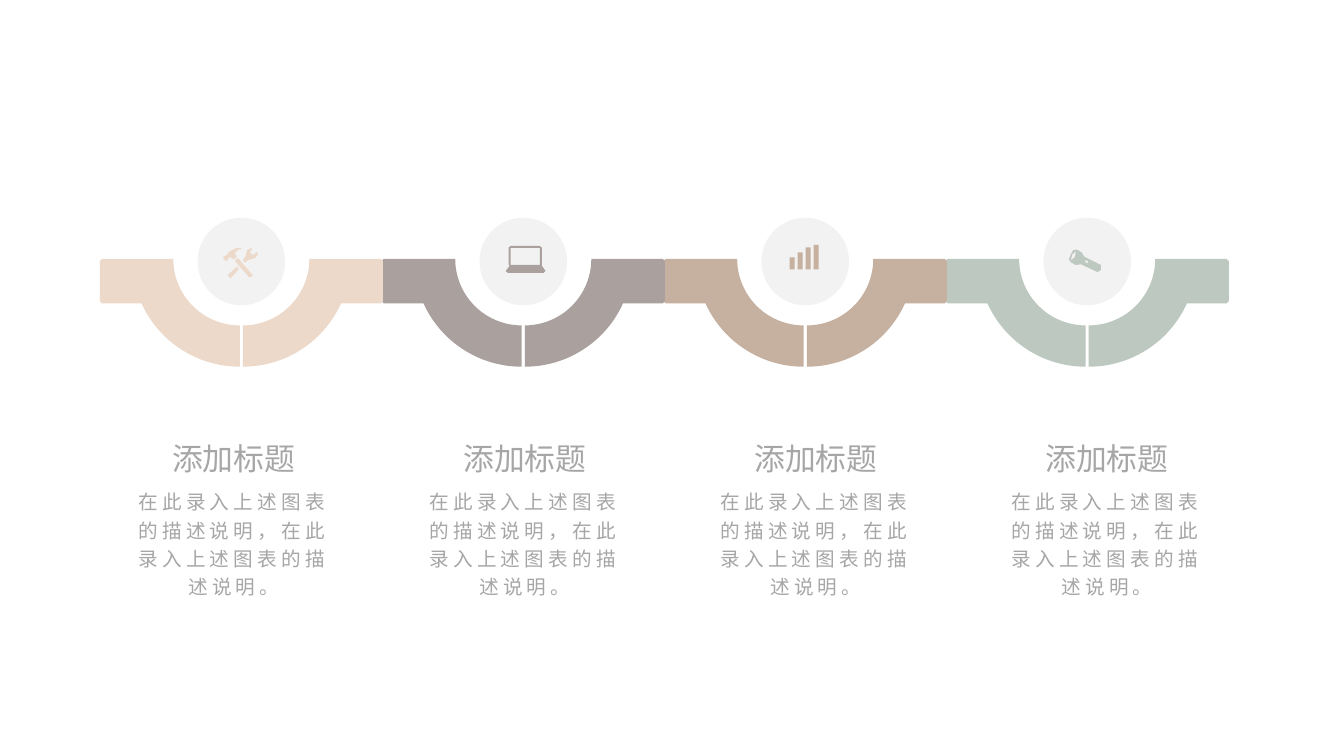
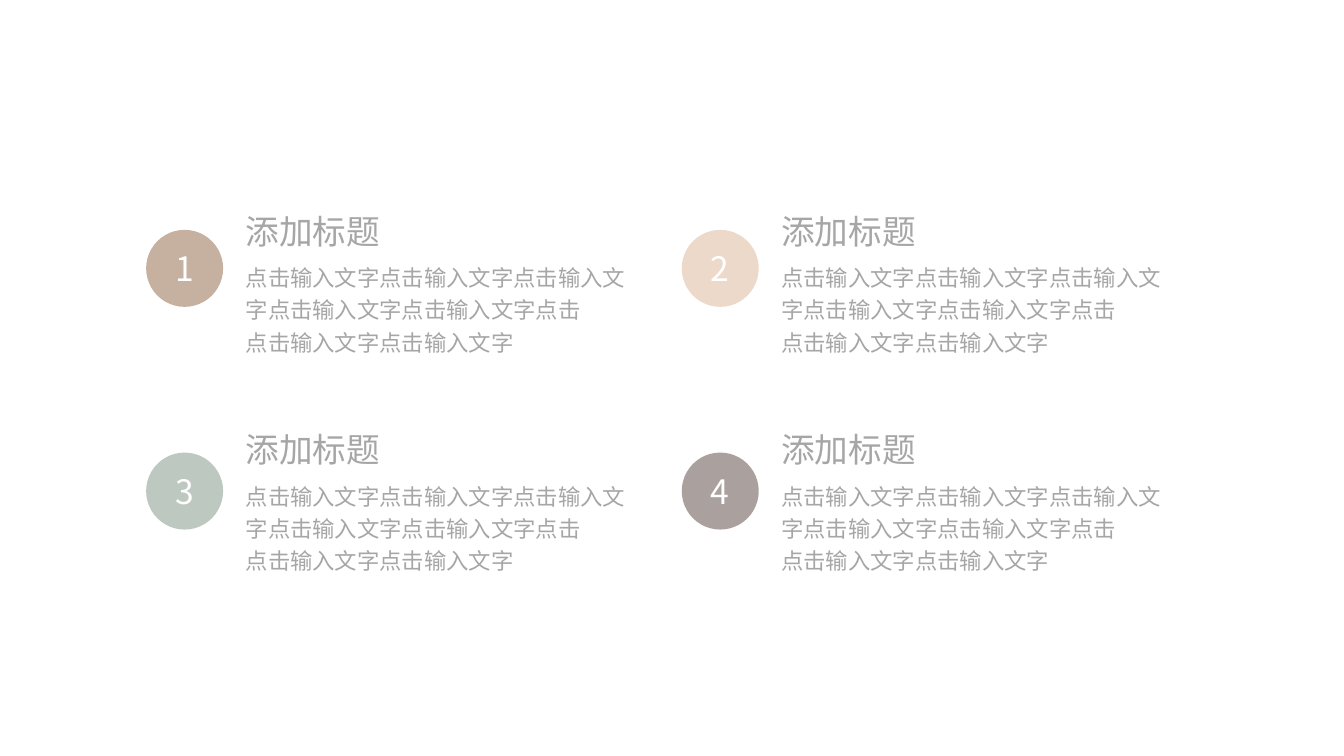
import dataclasses
import math

import pptx
import pptx.dml.color
import pptx.enum.shapes
import pptx.enum.text
import pptx.oxml
import pptx.oxml.ns
import pptx.util

Pt = pptx.util.Pt
OVAL = pptx.enum.shapes.MSO_SHAPE.OVAL
RECT = pptx.enum.shapes.MSO_SHAPE.RECTANGLE
LEFT = pptx.enum.text.PP_ALIGN.LEFT
CENTER = pptx.enum.text.PP_ALIGN.CENTER
MIDDLE = pptx.enum.text.MSO_ANCHOR.MIDDLE
GROW = pptx.enum.text.MSO_AUTO_SIZE.SHAPE_TO_FIT_TEXT


@dataclasses.dataclass(frozen=True)
class Theme:
    face: str = "Noto Sans CJK SC"
    sand: str = "ECD9CA"
    mauve: str = "AAA09E"
    tan: str = "C6B0A0"
    sage: str = "BDC8C0"
    disc: str = "F2F2F2"
    ink: str = "A6A6A6"
    white: str = "FFFFFF"
    small: int = 14
    body: int = 16
    head: int = 22
    large: int = 24


theme = Theme()


def paint(shape, color):
    """Give a shape a flat fill with neither line nor shadow."""
    shape.shadow.inherit = False
    shape.fill.solid()
    shape.fill.fore_color.rgb = pptx.dml.color.RGBColor.from_string(color)
    shape.line.fill.background()


def write(shape, lines, size, color=theme.ink, track=0, **form):
    """Fill a text frame; form holds paragraph values."""
    frame = shape.text_frame
    frame.word_wrap = True
    for index, line in enumerate(lines):
        para = frame.add_paragraph() if index else frame.paragraphs[0]
        for key, value in form.items():
            setattr(para, key, value)
        run = para.add_run()
        run.text = line
        for key, value in {"name": theme.face, "size": Pt(size)}.items():
            setattr(run.font, key, value)
        run.font.color.rgb = pptx.dml.color.RGBColor.from_string(color)
        props = run.font._element
        east = pptx.oxml.parse_xml(
            f'<a:ea {pptx.oxml.ns.nsdecls("a")} typeface="{theme.face}"/>')
        props.find(pptx.oxml.ns.qn("a:latin")).addnext(east)
        if track:
            props.set("spc", str(track * 100))


deck = pptx.Presentation()
deck.slide_width, deck.slide_height = Pt(960), Pt(540)
blank = deck.slide_layouts[6]
title = "添加标题"

# Slide 1: a ribbon of four stages
slide = deck.slides.add_slide(blank)
shapes = slide.shapes

# Icons: closed loops in points, measured from the icon's top left corner
tools = [
    [(3.6, 19.4), (5.2, 21.6), (6, 21.4), (11.5, 15.1), (10, 13.6)],
    [(24.5, 2.6), (23, 4.2), (21.2, 5), (19.8, 3.8), (19.8, 2.6), (21, 0.8),
     (20.6, 0), (17.6, 1.5), (16.8, 3.8), (16, 6.8), (14.4, 8.6), (16, 10.6),
     (18, 8.7), (20.6, 8), (23.2, 7.2), (25, 4.8), (24.8, 2.9)],
    [(10.8, 7.2), (8.7, 9.2), (18.8, 20.9), (20.2, 20.8), (21.5, 19.6)],
    [(4.2, 7), (5.6, 6.7), (7, 7.8), (8, 8), (10, 6.4), (10, 5.8), (8.8, 5),
     (9.2, 3), (11, 1.4), (13.6, 0.4), (13.4, 0), (10, 0), (5.6, 2.2),
     (3.6, 3.6), (3.2, 5), (1, 6), (0, 6.8), (2.2, 9.4), (3, 9.2), (3.6, 8.4)],
]
laptop = [
    [(0, 18), (2.9, 14.2), (2.2, 13.7), (2.2, 1.2), (3.6, 0), (24.4, 0),
     (25.9, 1.4), (25.9, 14.2), (28.5, 18), (27, 19.3), (1.5, 19.3)],
    [(3.6, 1.4), (3.6, 13.6), (24.4, 13.6), (24.4, 1.4)],
]
torch = [
    [(1.4, 4.3), (3.2, 1), (5.8, 0.4), (9.4, 2.6), (11.2, 5.6), (23.2, 11.6),
     (23, 15), (20.8, 16.6), (8.9, 11), (5, 11.5), (1.4, 9.4), (0.2, 7.2)],
    [(4.6, 5.6), (5.2, 1.5), (2.5, 4.1), (1.5, 8.6)],
    [(14.2, 9.4), (13, 8.1), (11.6, 8.4), (12.2, 9.8), (13.4, 10.2)],
]
bars = [8.6, 12.2, 15.8, 17.6]

# Right half of a stage, measured from the centre of its arcs
inner, outer, depth, reach, bevel = 47.5, 77, 31.7, 100, 1.5
start = math.degrees(math.asin(depth / outer))
arcs = []
for radius, first, last in ((outer, start, 90), (inner, 90, 0)):
    angles = [math.radians(first + (last - first) * k / 24) for k in range(25)]
    arcs += [(radius * math.cos(a), radius * math.sin(a)) for a in angles]
half = [(reach - bevel, 0), (reach, bevel), (reach, depth - bevel),
        (reach - bevel, depth)] + arcs
mirror = [(-x, y) for x, y in half]

stages = [
    (theme.sand, tools, -13.3, -9.7),
    (theme.mauve, laptop, -12.6, -11.2),
    (theme.tan, None, -11.2, 5.7),
    (theme.sage, torch, -13.3, -9),
]
band, gap, size, hub = 185, 1.1, 62.6, 186.8
for index, (color, icon, dx, dy) in reversed(list(enumerate(stages))):
    mid = 172.4 + 201.4 * index
    disc = shapes.add_shape(OVAL, Pt(mid - size / 2), Pt(hub - size / 2),
                            Pt(size), Pt(size))
    paint(disc, theme.disc)
    parts = [([half], mid + gap, band), ([mirror], mid - gap, band)]
    if icon:
        parts.append((icon, mid + dx, hub + dy))
    else:
        for step, tall in enumerate(bars):
            bar = shapes.add_shape(RECT, Pt(mid + dx + 5.75 * step),
                                   Pt(hub + dy - tall), Pt(3.6), Pt(tall))
            paint(bar, color)
    for loops, left, top in parts:
        pen = None
        for loop in loops:
            grid = [(x * 100, y * 100) for x, y in loop]
            if pen is None:
                pen = shapes.build_freeform(*grid[0], scale=float(Pt(0.01)))
            else:
                pen.move_to(*grid[0])
            pen.add_line_segments(grid[1:], close=True)
        paint(pen.convert_to_shape(Pt(left), Pt(top)), color)

note = "在此录入上述图表的描述说明，在此录入上述图表的描述说明。"
for index in range(len(stages)):
    mid = 167 + 207.9 * index
    head = shapes.add_textbox(Pt(mid - 61.2), Pt(310.3), Pt(122.4), Pt(33.8))
    write(head, [title], theme.head, alignment=CENTER)
    text = shapes.add_textbox(Pt(mid - 77.75), Pt(343.4), Pt(155.5), Pt(87.1))
    write(text, [note], theme.small, track=3, alignment=CENTER, line_spacing=1.2)
    for box in (head, text):
        box.text_frame.auto_size = GROW

# Slide 2: four numbered points in two columns
slide = deck.slides.add_slide(blank)
shapes = slide.shapes
lines = ["点击输入文字点击输入文字点击输入文字点击输入文字点击输入文字点击",
         "点击输入文字点击输入文字"]
colors = [theme.tan, theme.sand, theme.sage, theme.mauve]
for index, color in enumerate(colors):
    row, col = divmod(index, 2)
    left = 104.4 + 382.6 * col
    badge = shapes.add_shape(OVAL, Pt(left), Pt(164.2 + 159.1 * row),
                             Pt(55), Pt(55))
    paint(badge, color)
    badge.text_frame.vertical_anchor = MIDDLE
    write(badge, [str(index + 1)], theme.large, theme.white, alignment=CENTER)
    top = 146.9 + 156.2 * row
    head = shapes.add_textbox(Pt(left + 64), Pt(top), Pt(157), Pt(36))
    write(head, [title], theme.large, alignment=LEFT)
    text = shapes.add_textbox(Pt(left + 64), Pt(top + 34.5), Pt(301), Pt(75))
    write(text, lines, theme.body, alignment=LEFT, line_spacing=1.2)
    for box in (head, text):
        box.text_frame.auto_size = GROW

deck.save("out.pptx")
